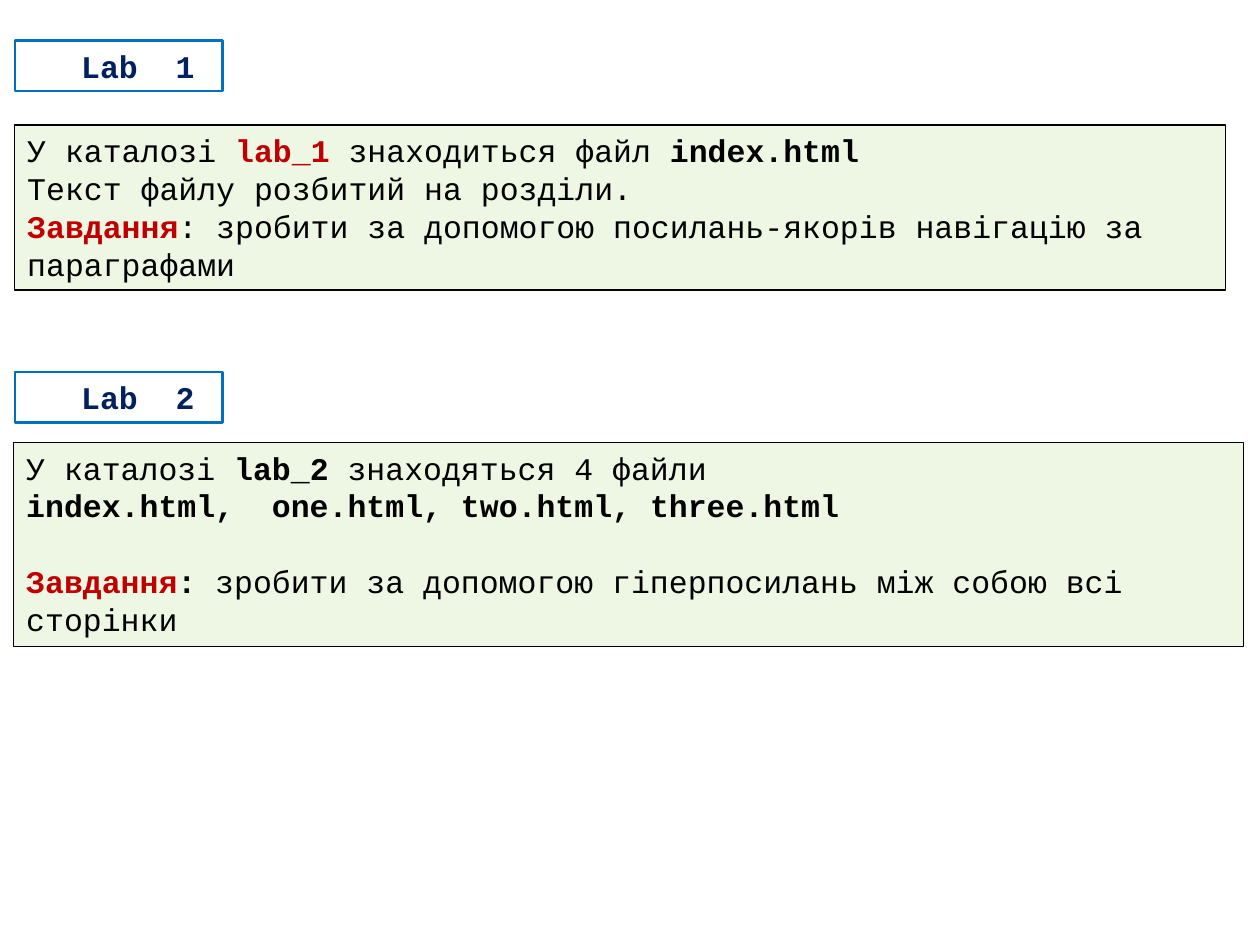
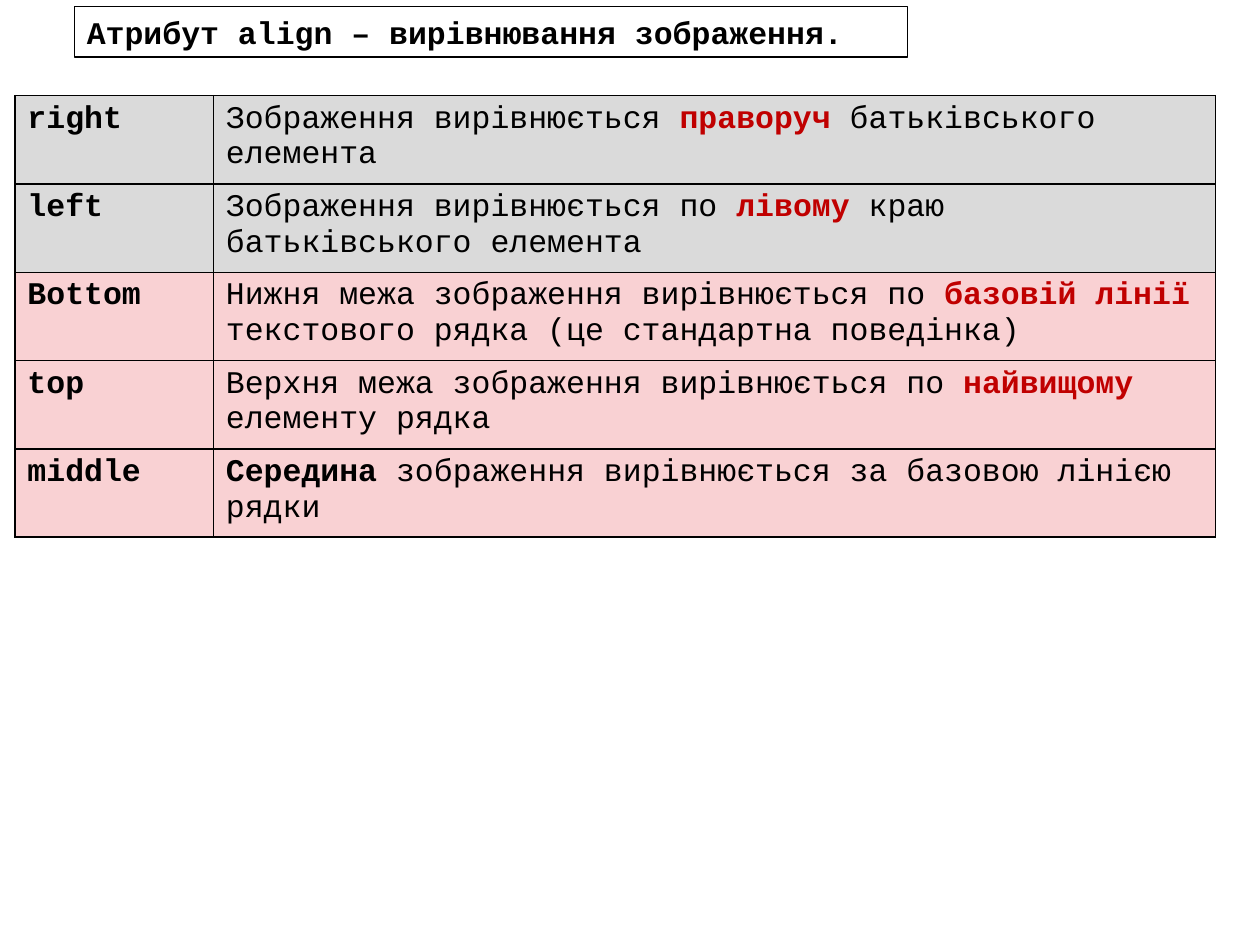
import pptx
import pptx.dml.color
import pptx.enum.shapes
import pptx.enum.text
import pptx.oxml
import pptx.oxml.ns
import pptx.util
from lxml import etree
from pptx.util import Cm, Pt

RGBColor = pptx.dml.color.RGBColor
Align = pptx.enum.text.PP_ALIGN
Anchor = pptx.enum.text.MSO_ANCHOR

BLACK = RGBColor(0x00, 0x00, 0x00)
RED = RGBColor(0xC0, 0x00, 0x00)
NAVY = RGBColor(0x00, 0x20, 0x60)
BLUE = RGBColor(0x00, 0x70, 0xC0)
GREEN = RGBColor(0x92, 0xD0, 0x50)
GRAY = RGBColor(0xDA, 0xDA, 0xDA)
PINK = RGBColor(0xF9, 0xD1, 0xD3)

FONT = "Courier New"
FONT_SIZE = Pt(18)

PLAIN = (BLACK, False)
STRONG = (BLACK, True)
KEY = (RED, True)
LABEL = (NAVY, True)

LAB_1_TASK = [
    [("У каталозі ", PLAIN), ("lab_1 ", KEY), ("знаходиться файл ", PLAIN), ("index.html", STRONG)],
    [("Текст файлу розбитий на розділи.", PLAIN)],
    [("Завдання", KEY), (": зробити за допомогою посилань-якорів навігацію за параграфами", PLAIN)],
]
LAB_2_TASK = [
    [("У каталозі ", PLAIN), ("lab_2 ", STRONG), ("знаходяться 4 файли", PLAIN)],
    [("index.html,  one.html, two.html, three.html", STRONG)],
    [("Завдання", KEY), (": ", STRONG),
     ("зробити за допомогою гіперпосилань між собою всі сторінки", PLAIN)],
]
ALIGN_VALUES = [
    ("right", GRAY, [[("Зображення вирівнюється ", PLAIN), ("праворуч ", KEY),
                      ("батьківського елемента", PLAIN)]]),
    ("left", GRAY, [[("Зображення вирівнюється по ", PLAIN), ("лівому", KEY),
                     (" краю батьківського елемента", PLAIN)]]),
    ("Bottom", PINK, [[("Нижня межа зображення вирівнюється по ", PLAIN), ("базовій лінії", KEY),
                       (" текстового рядка (це стандартна поведінка)", PLAIN)]]),
    ("top", PINK, [[("Верхня межа зображення вирівнюється по ", PLAIN), ("найвищому ", KEY),
                    ("елементу рядка", PLAIN)]]),
    ("middle", PINK, [[("Середина ", STRONG), ("зображення вирівнюється за базовою лінією", PLAIN)],
                      [("рядки", PLAIN)]]),
]


def write_paragraphs(text_frame, paragraphs, alignment=Align.LEFT):
    """Write styled runs into a text frame, one paragraph per list."""
    for index, runs in enumerate(paragraphs):
        paragraph = text_frame.add_paragraph() if index else text_frame.paragraphs[0]
        paragraph.alignment = alignment
        for text, (color, bold) in runs:
            run = paragraph.add_run()
            run.text = text
            run.font.name = FONT
            run.font.size = FONT_SIZE
            run.font.bold = bold
            run.font.color.rgb = color


def add_box(slide, box, paragraphs, line_color=BLACK, line_width=0.75, alignment=Align.LEFT):
    """Add an outlined, unfilled text rectangle."""
    shape = slide.shapes.add_shape(pptx.enum.shapes.MSO_SHAPE.RECTANGLE, *box)
    shape.shadow.inherit = False
    shape.fill.background()
    shape.line.color.rgb = line_color
    shape.line.width = Pt(line_width)
    shape.text_frame.word_wrap = True
    shape.text_frame.vertical_anchor = Anchor.TOP
    write_paragraphs(shape.text_frame, paragraphs, alignment)
    return shape


def add_lab_label(slide, left, top, text):
    """Add the blue-framed label of a lab."""
    label = add_box(slide, (left, top, Cm(4.19), Cm(1.02)), [[(text, LABEL)]],
                    BLUE, 1.5, Align.CENTER)
    label.text_frame.vertical_anchor = Anchor.MIDDLE
    label.text_frame.margin_left = Cm(1.02)


def add_task_box(slide, box, paragraphs, gap=0):
    """Add a pale green task box, with a gap before its last paragraph."""
    shape = add_box(slide, box, paragraphs)
    shape.fill.solid()
    shape.fill.fore_color.rgb = GREEN
    color = shape.fill._xPr.find(".//" + pptx.oxml.ns.qn("a:srgbClr"))
    etree.SubElement(color, pptx.oxml.ns.qn("a:alpha"), val="15000")
    shape.text_frame.paragraphs[-1].space_before = Pt(gap)


def set_borders(cell, color, width):
    """Draw all four borders of a table cell."""
    properties = cell._tc.get_or_add_tcPr()
    for index, side in enumerate(("lnL", "lnR", "lnT", "lnB")):
        line = etree.Element(pptx.oxml.ns.qn("a:" + side), w=str(Pt(width)))
        fill = etree.SubElement(line, pptx.oxml.ns.qn("a:solidFill"))
        etree.SubElement(fill, pptx.oxml.ns.qn("a:srgbClr"), val=str(color))
        properties.insert(index, line)


def add_value_table(slide, left, top, column_widths, row_height):
    """Add the table of align values and their meanings."""
    table = slide.shapes.add_table(len(ALIGN_VALUES), len(column_widths), left, top,
                                   sum(column_widths), row_height * len(ALIGN_VALUES)).table
    table.first_row = False
    table.horz_banding = False
    for column, width in zip(table.columns, column_widths):
        column.width = width
    for row_index, (name, fill_color, meaning) in enumerate(ALIGN_VALUES):
        table.rows[row_index].height = row_height
        for column_index, paragraphs in enumerate(([[(name, STRONG)]], meaning)):
            cell = table.cell(row_index, column_index)
            cell.fill.solid()
            cell.fill.fore_color.rgb = fill_color
            set_borders(cell, BLACK, 1)
            write_paragraphs(cell.text_frame, paragraphs)


def build_labs_slide(slide):
    """Build the slide with two lab tasks."""
    add_lab_label(slide, Cm(0.3), Cm(0.82), "Lab  1")
    add_task_box(slide, (Cm(0.3), Cm(2.52), Cm(24.41), Cm(3.33)), LAB_1_TASK)
    add_lab_label(slide, Cm(0.3), Cm(7.5), "Lab  2")
    add_task_box(slide, (Cm(0.28), Cm(8.92), Cm(24.79), Cm(4.11)), LAB_2_TASK, gap=21.6)


def build_align_slide(slide):
    """Build the slide about the align attribute."""
    add_box(slide, (Cm(1.5), Cm(0.13), Cm(16.79), Cm(1.02)),
            [[("Атрибут align – вирівнювання зображення.", STRONG)]])
    add_value_table(slide, Cm(0.3), Cm(1.93), (Cm(4), Cm(20.2)), Cm(1.78))


def main():
    """Build and save the presentation."""
    presentation = pptx.Presentation()
    presentation.slide_width = Cm(25.4)
    presentation.slide_height = Cm(19.05)
    for build in (build_labs_slide, build_align_slide):
        build(presentation.slides.add_slide(presentation.slide_layouts[6]))
    presentation.save("out.pptx")


if __name__ == "__main__":
    main()
